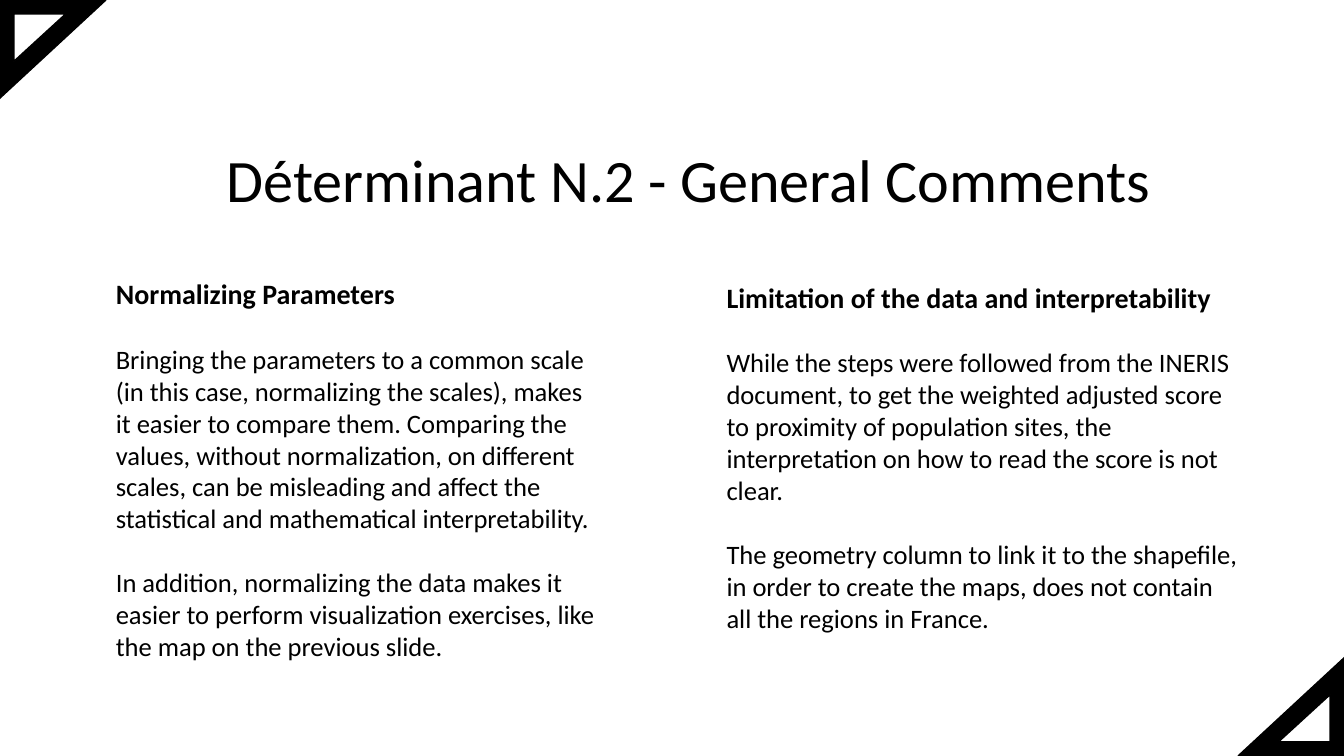
import pptx
import pptx.util
import pptx.dml.color
import pptx.enum.shapes
import pptx.enum.text

Cm, Pt = pptx.util.Cm, pptx.util.Pt
HUES = {"ink": "000000", "paper": "FFFFFF"}
WIDE, HIGH = 33.87, 19.05


def tint(name):
    return pptx.dml.color.RGBColor.from_string(HUES[name])


def write(frame, text, size=19, bold=False, gap=0, align="LEFT", lead=1.0):
    """Add a paragraph, filling the empty first one if there is no text yet."""
    para = frame.add_paragraph() if frame.text else frame.paragraphs[0]
    para.text = text
    para.alignment = getattr(pptx.enum.text.PP_ALIGN, align)
    para.space_before = Pt(gap)
    para.line_spacing = lead
    font = para.font
    font.name, font.size, font.bold = "Calibri", Pt(size), bold
    font.color.rgb = tint("ink")


deck = pptx.Presentation()
deck.slide_width, deck.slide_height = Cm(WIDE), Cm(HIGH)
slide = deck.slides.add_slide(deck.slide_layouts[6])

# Corner triangles: the lower right pair is the upper left pair turned by 180°
wedges = [
    (1.32, 1.25, 2.49, 2.69, "ink"),
    (1.0, 0.95, 1.19, 1.3, "paper"),
]
for turn in (90, 270):
    for x, y, wide, high, fill in wedges:
        if turn == 270:
            x, y = WIDE - x, HIGH - y
        wedge = slide.shapes.add_shape(
            pptx.enum.shapes.MSO_SHAPE.RIGHT_TRIANGLE,
            Cm(x - wide / 2), Cm(y - high / 2), Cm(wide), Cm(high))
        wedge.rotation = turn
        wedge.shadow.inherit = False
        wedge.fill.solid()
        wedge.fill.fore_color.rgb = tint(fill)
        wedge.line.color.rgb = tint("ink")
        wedge.line.width = Pt(1)

# Title
title = slide.shapes.add_textbox(Cm(3.48), Cm(3.05), Cm(27.74), Cm(3.12)).text_frame
title.word_wrap = True
title.vertical_anchor = pptx.enum.text.MSO_ANCHOR.MIDDLE
write(title, "Déterminant N.2 - General Comments", size=43, align="CENTER", lead=0.9)

# Two columns of comments
notes = [
    (2.67, 6.73, 12.57, 10.19, "Normalizing Parameters", [
        "Bringing the parameters to a common scale (in this case, normalizing the "
        "scales), makes it easier to compare them. Comparing the values, without "
        "normalization, on different scales, can be misleading and affect the "
        "statistical and mathematical interpretability.",
        "In addition, normalizing the data makes it easier to perform visualization "
        "exercises, like the map on the previous slide.",
    ]),
    (18.06, 6.81, 13.49, 9.5, "Limitation of the data and interpretability", [
        "While the steps were followed from the INERIS document, to get the weighted "
        "adjusted score to proximity of population sites, the interpretation on how "
        "to read the score is not clear.",
        "The geometry column to link it to the shapefile, in order to create the "
        "maps, does not contain all the regions in France.",
    ]),
]
for x, y, wide, high, head, paras in notes:
    frame = slide.shapes.add_textbox(Cm(x), Cm(y), Cm(wide), Cm(high)).text_frame
    frame.word_wrap = True
    frame.margin_top = frame.margin_bottom = Cm(0.25)
    write(frame, head, size=20, bold=True)
    for text in paras:
        write(frame, text, gap=23)

deck.save("out.pptx")
